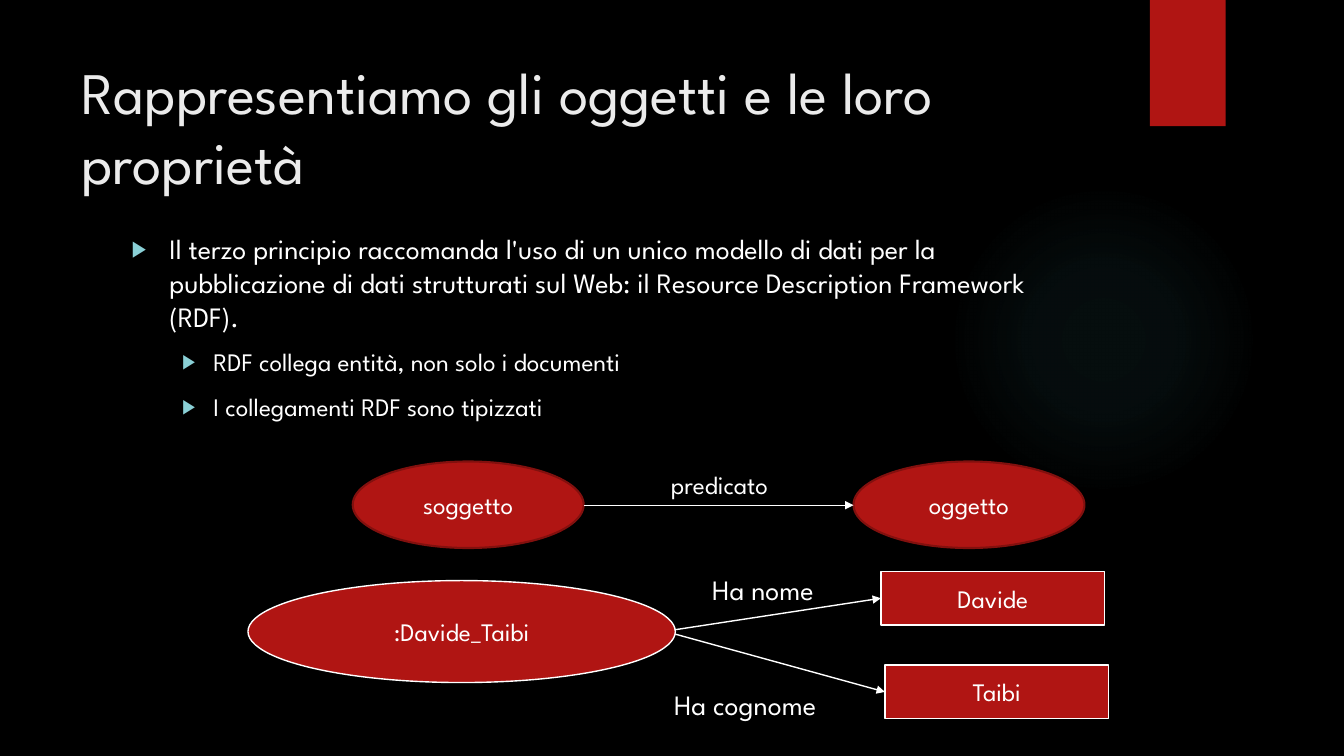
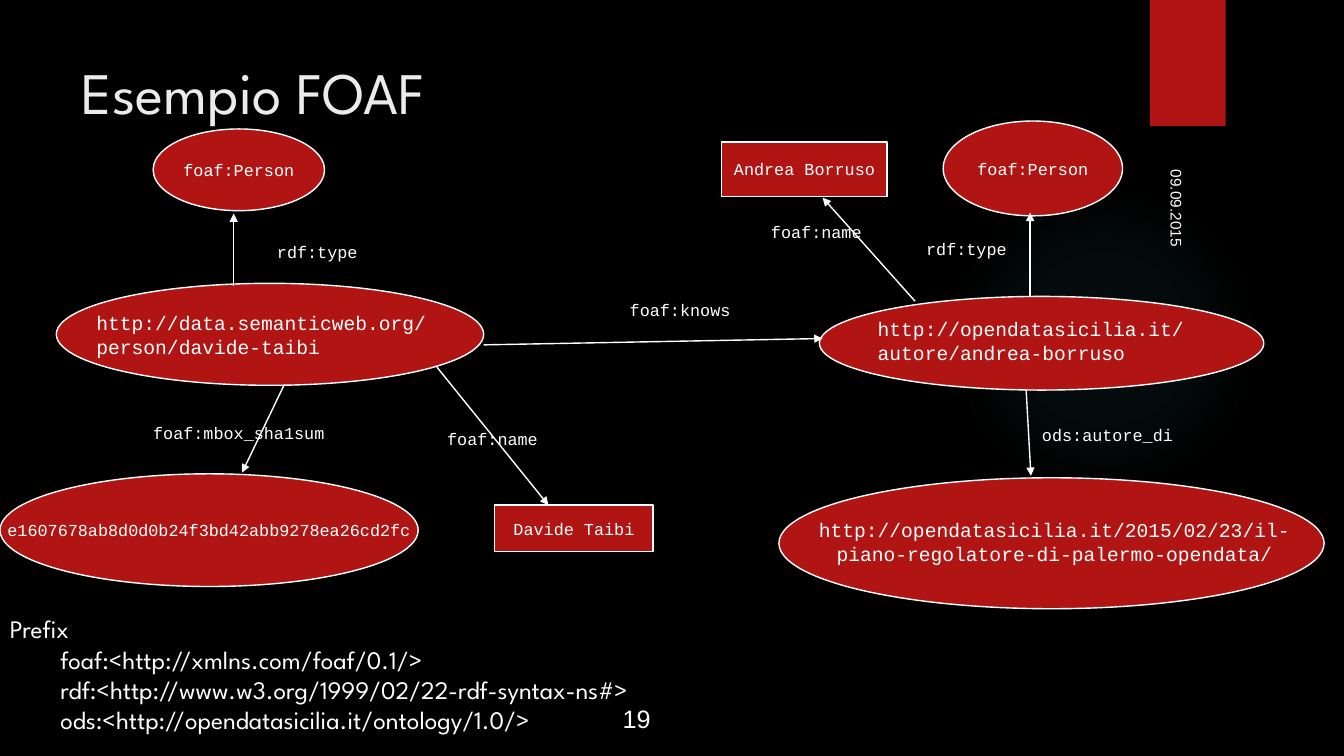
"""Build two slides on RDF triples and a FOAF example graph."""
from dataclasses import dataclass
from typing import NamedTuple

from lxml.etree import SubElement
from pptx import Presentation
from pptx.dml.color import RGBColor
from pptx.enum.shapes import MSO_CONNECTOR as Connector, MSO_SHAPE as Preset
from pptx.enum.text import MSO_ANCHOR as Anchor, MSO_AUTO_SIZE as AutoSize, PP_ALIGN as Align
from pptx.oxml import parse_xml
from pptx.oxml.ns import nsdecls, qn
from pptx.presentation import Presentation as Deck
from pptx.shapes.autoshape import Shape
from pptx.slide import Slide
from pptx.util import Cm, Pt

BLACK = RGBColor(0x00, 0x00, 0x00)
WHITE = RGBColor(0xFF, 0xFF, 0xFF)
TITLE_GREY = RGBColor(0xEB, 0xEB, 0xEB)
RED = RGBColor(0xB0, 0x15, 0x13)
DARK_RED = RGBColor(0x82, 0x10, 0x0E)
BULLET_TEAL = RGBColor(0x8A, 0xD0, 0xD6)
GLOW_TEAL = RGBColor(0x50, 0xB9, 0xC1)
GLOW_STOPS = ((0, 7), (36, 6), (69, 0))

SPARTAN, COURIER, ARIAL = "League Spartan", "Courier New", "Arial"
TITLE_ONLY = 5
LEFT_SIDE = 1


class Box(NamedTuple):
    """Left, top, width and height in centimetres."""
    left: float
    top: float
    width: float
    height: float

    def lengths(self) -> tuple[Cm, ...]:
        """Return the four values as lengths."""
        return tuple(Cm(value) for value in self)


class Point(NamedTuple):
    """A place on the slide in centimetres."""
    x: float
    y: float


@dataclass(frozen=True)
class TextStyle:
    """Font, size, colour and alignment of a paragraph."""
    font: str
    size: float
    color: RGBColor = WHITE
    align: Align = Align.LEFT


@dataclass(frozen=True)
class Node:
    """A resource (ellipse) or a literal (rectangle) of the graph."""
    box: Box
    text: str = ""
    preset: Preset = Preset.OVAL
    line: RGBColor = WHITE
    line_width: float = 1


@dataclass(frozen=True)
class Arrow:
    """A property, ending at a point or at the left side of the named node."""
    start: Point
    end: Point | str
    width: float = 1


@dataclass(frozen=True)
class Label:
    """Free text made of one or more (text, indent) lines."""
    box: Box
    lines: tuple[tuple[str, float], ...]
    style: TextStyle
    wrap: bool = False
    rotation: float = 0
    anchor: Anchor = Anchor.TOP


@dataclass(frozen=True)
class Bullet:
    """A bulleted line of the body text."""
    text: str
    size: float
    level: int = 0


BULLET_INDENTS = ((0.95, -0.95), (2.06, -0.79))
HEADING = TextStyle(SPARTAN, 42, TITLE_GREY)
SPARTAN_18 = TextStyle(SPARTAN, 18)
SPARTAN_20 = TextStyle(SPARTAN, 20)
COURIER_12 = TextStyle(COURIER, 12)
COURIER_14 = TextStyle(COURIER, 14)
COURIER_14_CENTRED = TextStyle(COURIER, 14, align=Align.CENTER)


def label(text: str, box: Box, style: TextStyle = COURIER_12, wrap: bool = False) -> Label:
    """Return a label of one line without indent."""
    return Label(box, ((text, 0),), style, wrap)


def style_paragraph(paragraph, style: TextStyle) -> None:
    """Apply a text style to a whole paragraph."""
    paragraph.alignment = style.align
    paragraph.font.name = style.font
    paragraph.font.size = Pt(style.size)
    paragraph.font.color.rgb = style.color


def indent_paragraph(paragraph, margin: float, first: float = 0) -> None:
    """Set the left margin and first-line indent."""
    properties = paragraph._p.get_or_add_pPr()
    properties.set("marL", str(Cm(margin)))
    properties.set("indent", str(Cm(first)))


def add_bullet_mark(paragraph) -> None:
    """Give a paragraph the teal triangle bullet."""
    properties = paragraph._p.get_or_add_pPr()
    color = SubElement(properties, qn("a:buClr"))
    SubElement(color, qn("a:srgbClr"), val=str(BULLET_TEAL))
    SubElement(properties, qn("a:buSzPct"), val="80000")
    SubElement(properties, qn("a:buFont"), typeface=ARIAL)
    SubElement(properties, qn("a:buChar"), char="▶")


def draw_preset(slide: Slide, preset: Preset, box: Box) -> Shape:
    """Draw a red preset shape without line or shadow."""
    shape = slide.shapes.add_shape(preset, *box.lengths())
    shape.shadow.inherit = False
    shape.fill.solid()
    shape.fill.fore_color.rgb = RED
    shape.line.fill.background()
    return shape


def draw_glow(slide: Slide) -> None:
    """Draw the faint round glow of the background."""
    glow = draw_preset(slide, Preset.OVAL, Box(23.9, 4.65, 7.82, 7.82))
    stops = "".join(
        f'<a:gs pos="{place * 1000}"><a:srgbClr val="{GLOW_TEAL}">'
        f'<a:alpha val="{alpha * 1000}"/></a:srgbClr></a:gs>'
        for place, alpha in GLOW_STOPS)
    gradient = parse_xml(
        f'<a:gradFill {nsdecls("a")} rotWithShape="1"><a:gsLst>{stops}</a:gsLst>'
        '<a:path path="circle"><a:fillToRect l="50000" t="50000" r="50000" b="50000"/>'
        '</a:path></a:gradFill>')
    properties = glow._element.spPr
    properties.replace(properties.find(qn("a:solidFill")), gradient)


def add_slide(deck: Deck, heading: str) -> Slide:
    """Add a slide with the shared glow, red band and title."""
    slide = deck.slides.add_slide(deck.slide_layouts[TITLE_ONLY])
    draw_glow(slide)
    draw_preset(slide, Preset.RECTANGLE, Box(28.98, 0, 1.91, 3.18))
    title = slide.shapes.title
    title.left, title.top, title.width, title.height = Box(1.8, 1.27, 26.14, 3.89).lengths()
    frame = title.text_frame
    frame.text = heading
    frame.auto_size = AutoSize.NONE
    frame.vertical_anchor = Anchor.TOP
    style_paragraph(frame.paragraphs[0], HEADING)
    return slide


def draw_node(slide: Slide, node: Node, style: TextStyle) -> Shape:
    """Draw a node with its centred text."""
    shape = draw_preset(slide, node.preset, node.box)
    shape.line.color.rgb = node.line
    shape.line.width = Pt(node.line_width)
    if node.text:
        frame = shape.text_frame
        frame.text = node.text
        frame.word_wrap = False
        frame.vertical_anchor = Anchor.MIDDLE
        style_paragraph(frame.paragraphs[0],
                        TextStyle(style.font, style.size, align=Align.CENTER))
    return shape


def draw_arrow(slide: Slide, arrow: Arrow, shapes: dict[str, Shape]) -> None:
    """Draw an arrow, joined to its node where one is named."""
    joined = isinstance(arrow.end, str)
    end = arrow.start if joined else arrow.end
    connector = slide.shapes.add_connector(
        Connector.STRAIGHT, *(Cm(value) for value in (*arrow.start, *end)))
    if joined:
        connector.end_connect(shapes[arrow.end], LEFT_SIDE)
    connector.line.color.rgb = WHITE
    connector.line.width = Pt(arrow.width)
    SubElement(connector.line._get_or_add_ln(), qn("a:tailEnd"), type="triangle")
    SubElement(connector._element.spPr, qn("a:effectLst"))


def draw_label(slide: Slide, item: Label) -> None:
    """Draw a label in a text box."""
    text_box = slide.shapes.add_textbox(*item.box.lengths())
    text_box.rotation = item.rotation
    frame = text_box.text_frame
    frame.word_wrap = item.wrap
    frame.auto_size = AutoSize.NONE if item.wrap else AutoSize.SHAPE_TO_FIT_TEXT
    frame.vertical_anchor = item.anchor
    frame.text = "\n".join(text for text, _ in item.lines)
    for paragraph, (_, indent) in zip(frame.paragraphs, item.lines):
        indent_paragraph(paragraph, indent)
        style_paragraph(paragraph, item.style)


def draw_bullets(slide: Slide, box: Box, bullets: list[Bullet]) -> None:
    """Draw the bulleted body text."""
    frame = slide.shapes.add_textbox(*box.lengths()).text_frame
    frame.word_wrap = True
    frame.text = "\n".join(bullet.text for bullet in bullets)
    for paragraph, bullet in zip(frame.paragraphs, bullets):
        paragraph.level = bullet.level
        paragraph.space_before = Pt(10)
        indent_paragraph(paragraph, *BULLET_INDENTS[bullet.level])
        add_bullet_mark(paragraph)
        style_paragraph(paragraph, TextStyle(SPARTAN, bullet.size))


def draw_graph(slide: Slide, nodes: list[Node], arrows: list[Arrow],
               labels: list[Label], style: TextStyle) -> None:
    """Draw nodes, then arrows, then labels."""
    shapes = {node.text: draw_node(slide, node, style) for node in nodes}
    for arrow in arrows:
        draw_arrow(slide, arrow, shapes)
    for item in labels:
        draw_label(slide, item)


def build_triples(deck: Deck) -> None:
    """Build the slide on objects and their properties."""
    slide = add_slide(deck, "Rappresentiamo gli oggetti e le loro proprietà")
    draw_bullets(slide, Box(3.07, 5.72, 24.84, 5.6), [
        Bullet("Il terzo principio raccomanda l'uso di un unico modello di dati per la "
               "pubblicazione di dati strutturati sul Web: il Resource Description "
               "Framework (RDF).", 20),
        Bullet("RDF collega entità, non solo i documenti", 18, 1),
        Bullet("I collegamenti RDF sono tipizzati", 18, 1)])
    draw_graph(slide, [
        Node(Box(8.89, 11.63, 5.82, 2.18), "soggetto", line=DARK_RED, line_width=1.5),
        Node(Box(21.51, 11.63, 5.82, 2.18), "oggetto", line=DARK_RED, line_width=1.5),
        Node(Box(6.25, 14.63, 10.77, 2.57), ":Davide_Taibi"),
        Node(Box(22.2, 14.4, 5.64, 1.35), "Davide", Preset.RECTANGLE),
        Node(Box(22.3, 16.76, 5.64, 1.35), "Taibi", Preset.RECTANGLE)], [
        Arrow(Point(14.71, 12.73), Point(21.51, 12.73), 0.75),
        Arrow(Point(17, 15.87), "Davide"),
        Arrow(Point(17.02, 15.98), "Taibi")], [
        label("predicato", Box(16.66, 11.71, 3.61, 1.02), SPARTAN_18),
        label("Ha nome", Box(17.7, 14.3, 3.71, 1.12), SPARTAN_20),
        label("Ha cognome", Box(16.74, 17.2, 5.13, 1.12), SPARTAN_20)], SPARTAN_18)


def build_foaf(deck: Deck) -> None:
    """Build the slide with the FOAF example."""
    slide = add_slide(deck, "Esempio FOAF")
    draw_graph(slide, [
        Node(Box(3.86, 3.25, 4.32, 2.06), "foaf:Person"),
        Node(Box(1.42, 7.14, 10.77, 2.57)),
        Node(Box(0, 11.94, 10.54, 2.84), "e1607678ab8d0d0b24f3bd42abb9278ea26cd2fc"),
        Node(Box(12.47, 12.73, 3.99, 1.17), "Davide Taibi", Preset.RECTANGLE),
        Node(Box(18.19, 3.58, 4.17, 1.37), "Andrea Borruso", Preset.RECTANGLE),
        Node(Box(23.77, 3.05, 4.52, 2.39), "foaf:Person"),
        Node(Box(20.65, 7.47, 11.2, 2.36)),
        Node(Box(19.63, 12.04, 13.74, 3.3))], [
        Arrow(Point(5.89, 7.2), Point(5.89, 5.38)),
        Arrow(Point(7.16, 9.7), Point(6.1, 11.91)),
        Arrow(Point(11.01, 9.25), Point(13.82, 12.73)),
        Arrow(Point(12.19, 8.69), Point(20.73, 8.53)),
        Arrow(Point(23.06, 7.59), Point(20.73, 4.98)),
        Arrow(Point(25.96, 7.47), Point(25.96, 5.36)),
        Arrow(Point(25.86, 9.83), Point(25.98, 11.99))], [
        label("rdf:type", Box(6.73, 5.97, 4.01, 1.07)),
        label("foaf:mbox_sha1sum", Box(3.61, 10.52, 4.88, 0.76)),
        label("foaf:name", Box(11.02, 10.69, 4.39, 1.07)),
        label("foaf:knows", Box(15.62, 7.42, 3.07, 0.76)),
        label("foaf:name", Box(19.18, 5.46, 4.62, 1.24)),
        label("rdf:type", Box(23.09, 5.89, 4.22, 1.24)),
        label("ods:autore_di", Box(26.01, 10.59, 3.84, 0.76)),
        label("http://data.semanticweb.org/person/davide-taibi",
              Box(2.18, 7.72, 10.11, 1.45), COURIER_14, True),
        label("http://opendatasicilia.it/autore/andrea-borruso",
              Box(21.87, 7.87, 9.42, 1.45), COURIER_14, True),
        label("http://opendatasicilia.it/2015/02/23/il-piano-regolatore-di-palermo-opendata/",
              Box(19.94, 12.93, 13.28, 1.45), COURIER_14_CENTRED, True),
        Label(Box(0, 15.34, 17.68, 3.33), (
            ("Prefix", 0),
            ("foaf:<http://xmlns.com/foaf/0.1/>", 1.27),
            ("rdf:<http://www.w3.org/1999/02/22-rdf-syntax-ns#>", 1.27),
            ("ods:<http://opendatasicilia.it/ontology/1.0/>", 1.27)), SPARTAN_18, True),
        Label(Box(28.22, 4.98, 2.74, 0.84), (("09.09.2015", 0),),
              TextStyle(ARIAL, 11), True, rotation=90),
        Label(Box(12.9, 17.35, 8.05, 1.27), (("19", 2.54),),
              TextStyle(ARIAL, 18), True, anchor=Anchor.BOTTOM)], COURIER_12)


def main() -> None:
    """Create and save the presentation."""
    deck = Presentation()
    deck.slide_width, deck.slide_height = Cm(33.87), Cm(19.05)
    background = deck.slide_master.background.fill
    background.solid()
    background.fore_color.rgb = BLACK
    build_triples(deck)
    build_foaf(deck)
    deck.save("out.pptx")


if __name__ == "__main__":
    main()
